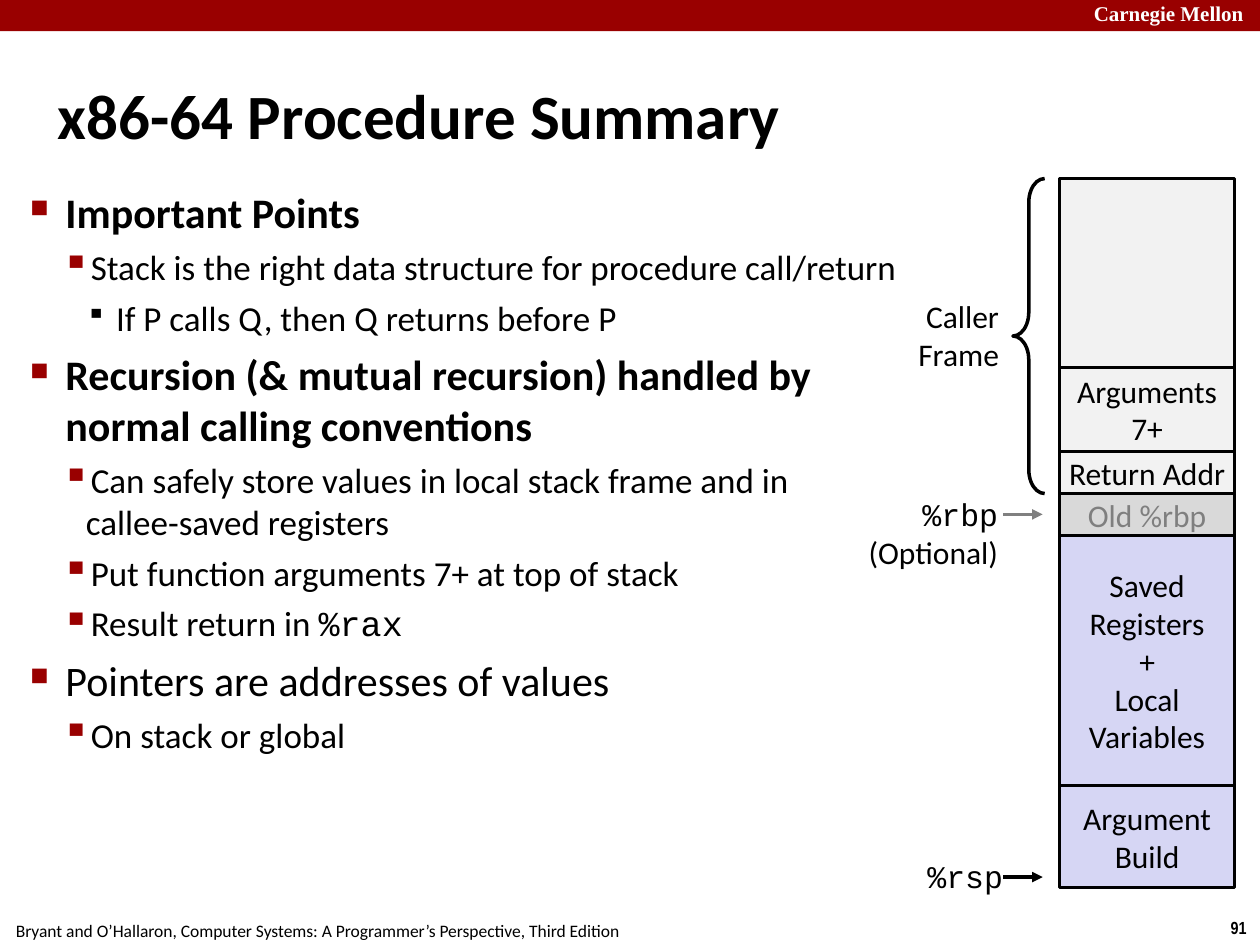
from lxml import etree
from pptx import Presentation
from pptx import util as u
from pptx.dml.color import RGBColor
from pptx.enum import shapes, text
from pptx.oxml import ns

BLACK = RGBColor(0, 0, 0)
WHITE = RGBColor(255, 255, 255)
CRIMSON = RGBColor(0x99, 0, 0)
PALE = RGBColor(0xF2, 0xF2, 0xF2)
SILVER = RGBColor(0xD9, 0xD9, 0xD9)
DIM = RGBColor(0x7F, 0x7F, 0x7F)
GREY = RGBColor(0x80, 0x80, 0x80)
LILAC = RGBColor(0xD6, 0xD6, 0xF4)
LEFT, CENTER, RIGHT = text.PP_ALIGN.LEFT, text.PP_ALIGN.CENTER, text.PP_ALIGN.RIGHT
TOP, MIDDLE = text.MSO_ANCHOR.TOP, text.MSO_ANCHOR.MIDDLE
MONO = "Courier New"


def write(frame, content, size=18, font="Calibri", color=BLACK, bold=False,
          align=LEFT, anchor=TOP, inset=0.1, wrap=True, bullet=None):
    frame.word_wrap = wrap
    frame.vertical_anchor = anchor
    frame.margin_left = frame.margin_right = u.Cm(inset)
    frame.margin_top = frame.margin_bottom = u.Cm(inset)
    for line in content:
        first = not frame.paragraphs[0].runs
        paragraph = frame.paragraphs[0] if first else frame.add_paragraph()
        paragraph.alignment = align
        if bullet:
            glyph, tint, scale, margin, hang, gap = bullet
            properties = paragraph._p.get_or_add_pPr()
            properties.set("marL", str(u.Cm(margin)))
            properties.set("indent", str(-u.Cm(hang)))
            holder = etree.SubElement(properties, ns.qn("a:buClr"))
            etree.SubElement(holder, ns.qn("a:srgbClr"), val=str(tint))
            etree.SubElement(properties, ns.qn("a:buSzPct"), val=str(scale * 1000))
            etree.SubElement(properties, ns.qn("a:buChar"), char=glyph)
            if not first:
                paragraph.space_before = u.Pt(gap)
        for piece in [line] if isinstance(line, str) else line:
            words, face = (piece, font) if isinstance(piece, str) else piece
            for index, part in enumerate(words.split("\n")):
                if index:
                    paragraph.add_line_break()
                run = paragraph.add_run()
                run.text = part
                run.font.name = face
                run.font.size = u.Pt(size)
                run.font.bold = bold
                run.font.color.rgb = color


deck = Presentation()
deck.slide_width, deck.slide_height = u.Cm(25.4), u.Cm(19.05)
slide = deck.slides.add_slide(deck.slide_layouts[6])

banner = slide.shapes.add_shape(shapes.MSO_SHAPE.RECTANGLE, 0, 0, deck.slide_width, u.Cm(0.63))
banner.shadow.inherit = False
banner.fill.solid()
banner.fill.fore_color.rgb = CRIMSON
banner.line.fill.background()

labels = [
    (24.54, 18.36, 0.86, 0.69, ["91"],
     dict(size=10, font="Arial Narrow", bold=True, align=CENTER, inset=0.13, wrap=False)),
    (-0.05, 18.42, 12.9, 0.69,
     ["Bryant and O’Hallaron, Computer Systems: A Programmer’s Perspective, Third Edition"],
     dict(size=10, align=CENTER, inset=0.13, wrap=False)),
    (21.95, -0.08, 3.66, 0.71, ["Carnegie Mellon"],
     dict(size=12, font="Times New Roman", color=WHITE, bold=True)),
    (1.07, 0.71, 23.29, 3.18, ["x86-64 Procedure Summary"],
     dict(size=36, bold=True, anchor=MIDDLE)),
    (18.34, 5.89, 1.9, 1.75, ["Caller", "Frame"], dict(align=RIGHT, wrap=False)),
    (15.88, 9.88, 4.34, 0.91, [[("%rbp", MONO)], "(Optional)"], dict(align=RIGHT)),
    (16.2, 17.17, 4.12, 0.91, ["%rsp"], dict(font=MONO, align=RIGHT)),
]
for left, top, width, height, content, style in labels:
    label = slide.shapes.add_textbox(u.Cm(left), u.Cm(top), u.Cm(width), u.Cm(height))
    write(label.text_frame, content, **style)

topic = dict(size=24, bullet=("■", CRIMSON, 60, 0.71, 0.71, 6))
detail = dict(size=20, bullet=("▪", CRIMSON, 110, 1.12, 0.48, 5))
example = dict(size=20, bullet=("▪", BLACK, 80, 1.73, 0.61, 5))
outline = [
    ("Important Points", dict(topic, bold=True)),
    ("Stack is the right data structure for procedure call/return", detail),
    ("If P calls Q, then Q returns before P", example),
    ("Recursion (& mutual recursion) handled by normal calling conventions",
     dict(topic, bold=True)),
    ("Can safely store values in local stack frame and in \ncallee-saved registers", detail),
    ("Put function arguments 7+ at top of stack", detail),
    (["Result return in ", ("%rax", MONO)], detail),
    ("Pointers are addresses of values", topic),
    ("On stack or global", detail),
]
points = slide.shapes.add_textbox(u.Cm(0.51), u.Cm(3.66), u.Cm(18.11), u.Cm(14.53))
for point, style in outline:
    write(points.text_frame, [point], **style)

stack = [
    (3.81, PALE, BLACK, []),
    (1.69, PALE, BLACK, ["Arguments", "7+"]),
    (0.85, PALE, BLACK, ["Return Addr"]),
    (0.85, SILVER, DIM, ["Old %rbp"]),
    (5.04, LILAC, BLACK, ["Saved", "Registers", "+", "Local", "Variables"]),
    (2.05, LILAC, BLACK, ["Argument", "Build"]),
]
stack_top = 3.6
top = stack_top
for height, shade, ink, content in stack:
    cell = slide.shapes.add_shape(
        shapes.MSO_SHAPE.RECTANGLE, u.Cm(21.36), u.Cm(top), u.Cm(3.53), u.Cm(height))
    cell.shadow.inherit = False
    cell.fill.solid()
    cell.fill.fore_color.rgb = shade
    cell.line.color.rgb = BLACK
    cell.line.width = u.Pt(2)
    write(cell.text_frame, content, color=ink, align=CENTER, anchor=MIDDLE, inset=0)
    top += height

caller_height = sum(height for height, *_ in stack[:3])
brace = slide.shapes.add_shape(
    shapes.MSO_SHAPE.LEFT_BRACE, u.Cm(20.42), u.Cm(stack_top), u.Cm(0.64), u.Cm(caller_height))
brace.shadow.inherit = False
brace.adjustments[0] = 0.75
brace.fill.background()
brace.line.color.rgb = BLACK
brace.line.width = u.Pt(2)

for level, tint in [(10.37, GREY), (17.68, BLACK)]:
    pointer = slide.shapes.add_connector(
        shapes.MSO_CONNECTOR.STRAIGHT, u.Cm(20.22), u.Cm(level), u.Cm(21.02), u.Cm(level))
    pointer.line.color.rgb = tint
    pointer.line.width = u.Pt(2)
    etree.SubElement(pointer.line._get_or_add_ln(), ns.qn("a:tailEnd"), type="triangle")
    etree.SubElement(pointer._element.spPr, ns.qn("a:effectLst"))

deck.save("out.pptx")
